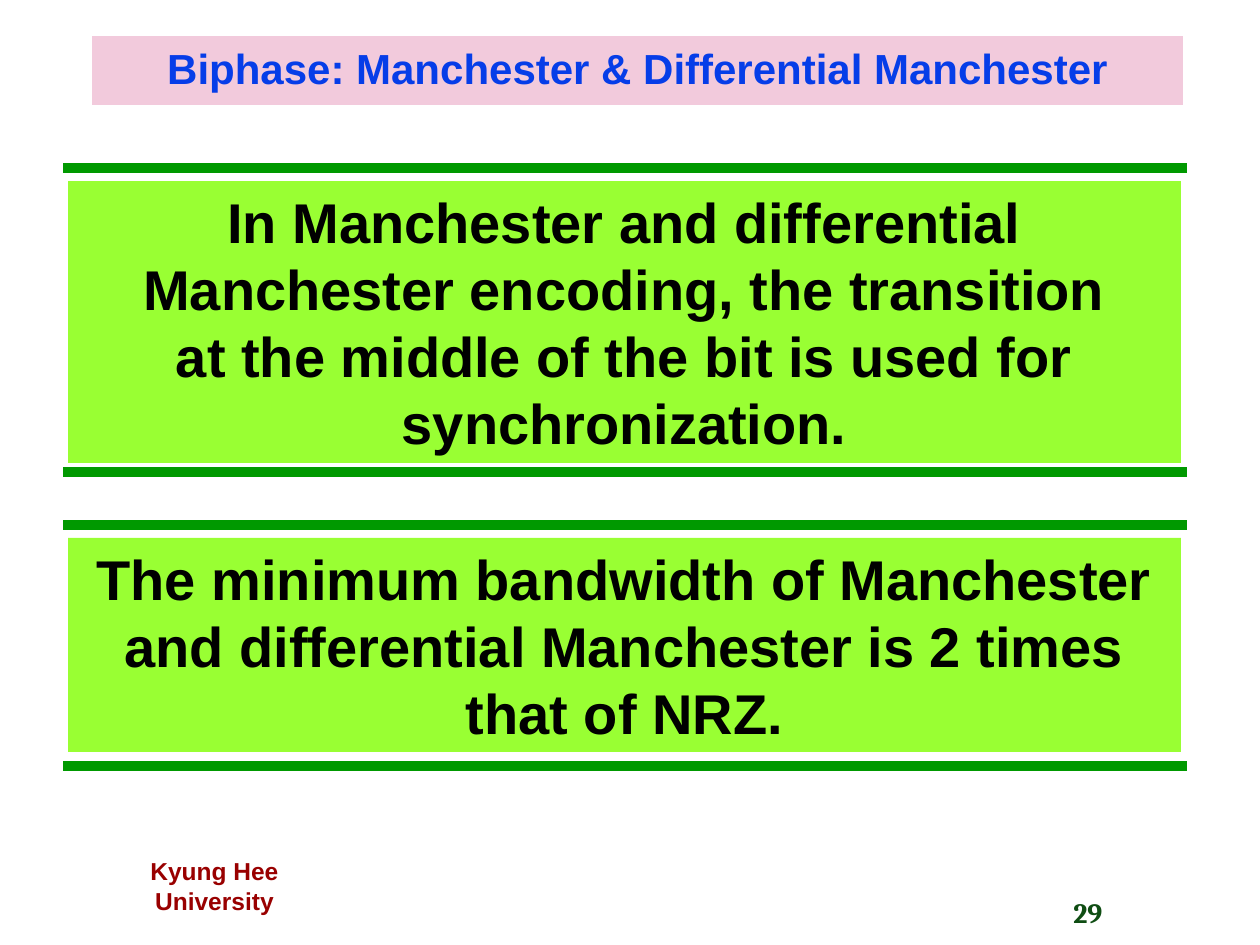
from pptx import Presentation
from pptx.dml.color import RGBColor
from pptx.enum.shapes import MSO_CONNECTOR, MSO_SHAPE
from pptx.enum.text import MSO_ANCHOR, PP_ALIGN
from pptx.util import Pt
from lxml import etree

RECT, STRAIGHT = MSO_SHAPE.RECTANGLE, MSO_CONNECTOR.STRAIGHT
TOP, MIDDLE = MSO_ANCHOR.TOP, MSO_ANCHOR.MIDDLE
LEFT, CENTER = PP_ALIGN.LEFT, PP_ALIGN.CENTER
A_NS = "http://schemas.openxmlformats.org/drawingml/2006/main"

THEME = {
    "banner": "F2CADC", "panel": "99FF33", "rule": "009900", "rule_width": 6,
    "title": {"name": "Arial", "size": 24, "color": "063DE8"},
    "body": {"name": "Arial", "size": 32, "color": "000000"},
    "school": {"name": "Arial", "size": 14, "color": "990000"},
    "number": {"name": "Cambria", "size": 16, "color": "0F4D13"},
}


def px(n):
    return round(n * 914400 / 126)


def add_text(box, paragraphs, style, fill=None, align=CENTER, anchor=TOP, spacing=1.0):
    """Add a rectangle if a fill is given, else a text box, and write into it."""
    box = [px(n) for n in box]
    if fill:
        sp = slide.shapes.add_shape(RECT, *box)
        sp.shadow.inherit = False
        sp.fill.solid()
        sp.fill.fore_color.rgb = RGBColor.from_string(fill)
        sp.line.fill.background()
    else:
        sp = slide.shapes.add_textbox(*box)
    tf = sp.text_frame
    tf.word_wrap = True
    tf.vertical_anchor = anchor
    tf.text = "\n".join(paragraphs)
    fmt = THEME[style]
    for p in tf.paragraphs:
        p.alignment = align
        p.line_spacing = spacing
        for r in p.runs:
            for key, value in {"name": fmt["name"], "size": Pt(fmt["size"]), "bold": True}.items():
                setattr(r.font, key, value)
            r.font.color.rgb = RGBColor.from_string(fmt["color"])


prs = Presentation()
prs.slide_width, prs.slide_height = px(1260), px(945)
slide = prs.slides.add_slide(prs.slide_layouts[6])

# Footer
add_text((1061, 889, 174, 53), ["29"], "number", align=LEFT)
add_text((87, 850, 255, 72), ["Kyung Hee University"], "school")

# Title banner
add_text((92, 36, 1091, 69), ["Biphase: Manchester & Differential Manchester"], "title",
         THEME["banner"], anchor=MIDDLE, spacing=0.9)

# Key points: a panel between two rules (upper rule, lower rule, panel height)
KEY_POINTS = [
    (168, 472, 282, ["In Manchester and differential Manchester encoding, the transition",
                     "at the middle of the bit is used for synchronization."]),
    (525, 766, 214, ["The minimum bandwidth of Manchester and differential Manchester "
                     "is 2 times that of NRZ."]),
]
for upper, lower, height, paragraphs in KEY_POINTS:
    for y in (upper, lower):
        rule = slide.shapes.add_connector(STRAIGHT, px(63), px(y), px(1187), px(y))
        rule.line.color.rgb = RGBColor.from_string(THEME["rule"])
        rule.line.width = Pt(THEME["rule_width"])
        etree.SubElement(rule._element.spPr, f"{{{A_NS}}}effectLst")
    add_text((68, upper + 13, 1113, height), paragraphs, "body", THEME["panel"])

prs.save("out.pptx")
